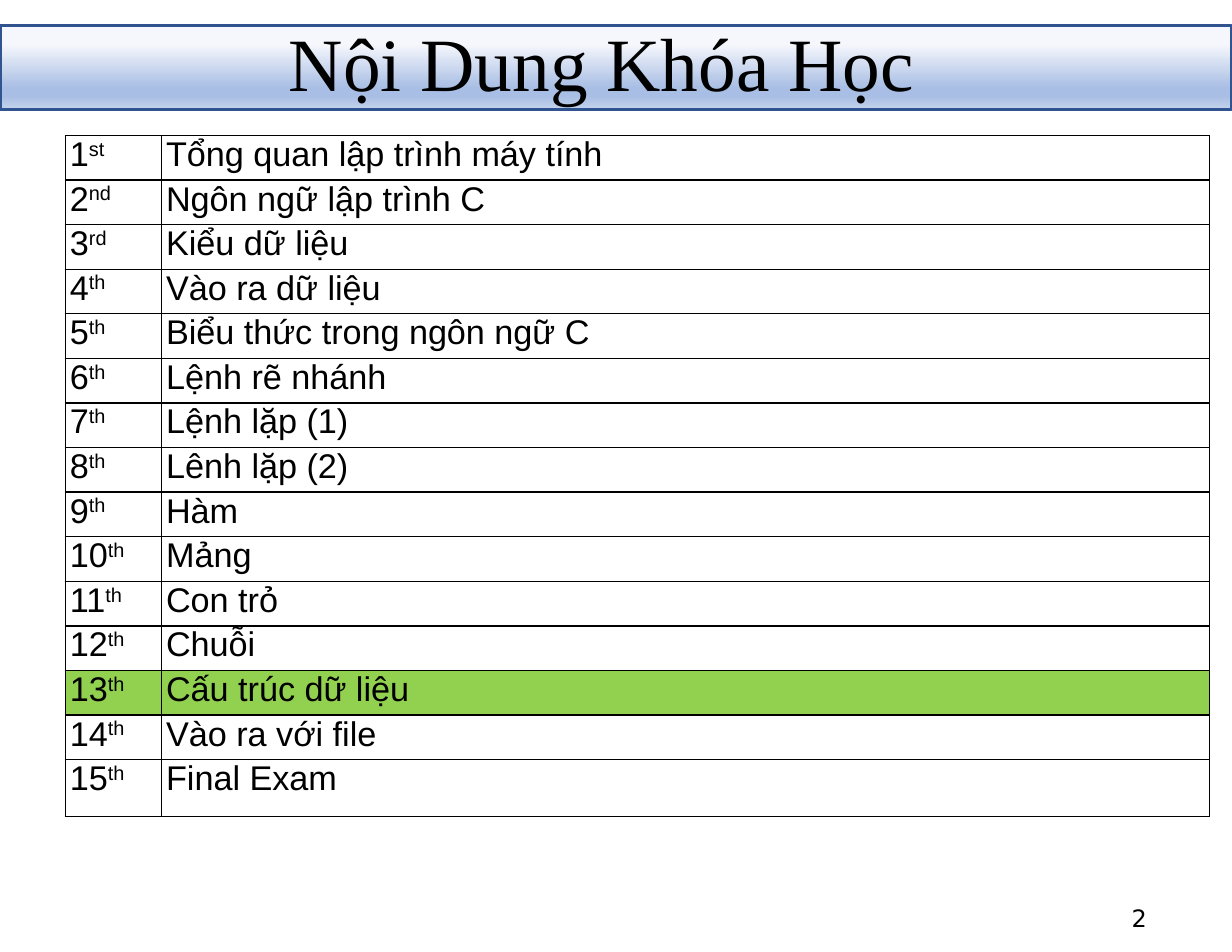
from dataclasses import dataclass

from lxml import etree
from pptx import Presentation
from pptx.dml.color import RGBColor
from pptx.enum.shapes import MSO_SHAPE
from pptx.enum.text import MSO_ANCHOR, PP_ALIGN
from pptx.oxml.ns import qn
from pptx.util import Pt

RECT = MSO_SHAPE.RECTANGLE
MIDDLE = MSO_ANCHOR.MIDDLE
LEFT, RIGHT, JUSTIFY = PP_ALIGN.LEFT, PP_ALIGN.RIGHT, PP_ALIGN.JUSTIFY


@dataclass(frozen=True)
class Theme:
    text: str = "000000"
    border: str = "000000"
    highlight: str = "92D050"
    banner_line: str = "31538F"
    banner_stops: tuple = ((0, "F5F7FC"), (22, "F5F7FC"), (74, "A9BEE4"),
                           (83, "A9BEE4"), (100, "C5D3ED"))
    title_font: str = "Times New Roman"
    body_font: str = "Arial"
    number_font: str = "DejaVu Sans"
    title_size: float = 48.4
    body_size: float = 22
    number_size: float = 15.4


THEME = Theme()

TOPICS = [
    "Tổng quan lập trình máy tính",
    "Ngôn ngữ lập trình C",
    "Kiểu dữ liệu",
    "Vào ra dữ liệu",
    "Biểu thức trong ngôn ngữ C",
    "Lệnh rẽ nhánh",
    "Lệnh lặp (1)",
    "Lênh lặp (2)",
    "Hàm",
    "Mảng",
    "Con trỏ",
    "Chuỗi",
    "Cấu trúc dữ liệu",
    "Vào ra với file",
    "Final Exam",
]
CURRENT_WEEK = 13
SUFFIXES = {1: "st", 2: "nd", 3: "rd"}
ROW_HEIGHT, LAST_ROW_HEIGHT = 28.67, 36.6
COLUMN_WIDTHS = (61.8, 673.9)


def set_attrs(obj, values):
    for name, value in values.items():
        setattr(obj, name, value)


def add_run(p, text, font, size, superscript=False):
    r = p.add_run()
    r.text = text
    set_attrs(r.font, {"name": font, "size": Pt(size)})
    r.font.color.rgb = RGBColor.from_string(THEME.text)
    if superscript:
        r.font._element.set("baseline", "30000")


def add_text(s, box, text, font, size, **paragraph_format):
    tf = s.shapes.add_textbox(*map(Pt, box)).text_frame
    set_attrs(tf, {"word_wrap": True, "vertical_anchor": MIDDLE,
                   "margin_left": 0, "margin_right": 0,
                   "margin_top": 0, "margin_bottom": 0})
    p = tf.paragraphs[0]
    set_attrs(p, paragraph_format)
    add_run(p, text, font, size)


def add_banner(s, box):
    sp = s.shapes.add_shape(RECT, *map(Pt, box))
    sp.shadow.inherit = False
    sp.line.color.rgb = RGBColor.from_string(THEME.banner_line)
    sp.line.width = Pt(2)
    # Vertical gradient with the theme's own stops
    sp.fill.gradient()
    sp.fill.gradient_angle = 270
    stops = sp._element.spPr.find(".//" + qn("a:gsLst"))
    for stop in list(stops):
        stops.remove(stop)
    for position, color in THEME.banner_stops:
        stop = etree.SubElement(stops, qn("a:gs"), pos=str(position * 1000))
        etree.SubElement(stop, qn("a:srgbClr"), val=color)


def add_borders(cell):
    tcPr = cell._tc.get_or_add_tcPr()
    for i, side in enumerate(("a:lnL", "a:lnR", "a:lnT", "a:lnB")):
        ln = etree.Element(qn(side), w=str(Pt(1)))
        fill = etree.SubElement(ln, qn("a:solidFill"))
        etree.SubElement(fill, qn("a:srgbClr"), val=THEME.border)
        tcPr.insert(i, ln)


def format_cell(cell, highlighted):
    set_attrs(cell, {"margin_left": Pt(3), "margin_right": Pt(3),
                     "margin_top": 0, "margin_bottom": 0})
    if highlighted:
        cell.fill.solid()
        cell.fill.fore_color.rgb = RGBColor.from_string(THEME.highlight)
    else:
        cell.fill.background()
    add_borders(cell)
    p = cell.text_frame.paragraphs[0]
    p.alignment = JUSTIFY
    return p


def add_schedule(s, left, top):
    height = ROW_HEIGHT * (len(TOPICS) - 1) + LAST_ROW_HEIGHT
    box = (left, top, sum(COLUMN_WIDTHS), height)
    table = s.shapes.add_table(len(TOPICS), 2, *map(Pt, box)).table
    set_attrs(table, {"first_row": False, "horz_banding": False})
    for column, width in zip(table.columns, COLUMN_WIDTHS):
        column.width = Pt(width)
    for week, topic in enumerate(TOPICS, 1):
        row = table.rows[week - 1]
        row.height = Pt(LAST_ROW_HEIGHT if week == len(TOPICS) else ROW_HEIGHT)
        number, name = [format_cell(c, week == CURRENT_WEEK) for c in row.cells]
        add_run(number, str(week), THEME.body_font, THEME.body_size)
        add_run(number, SUFFIXES.get(week, "th"), THEME.body_font,
                THEME.body_size, superscript=True)
        add_run(name, topic, THEME.body_font, THEME.body_size)


def main():
    prs = Presentation()
    set_attrs(prs, {"slide_width": Pt(792), "slide_height": Pt(612)})
    s = prs.slides.add_slide(prs.slide_layouts[6])

    # Title banner
    add_banner(s, (0, 16.6, 792, 54))
    add_text(s, (185.8, -23, 643.7, 131.8), "Nội Dung Khóa Học",
             THEME.title_font, THEME.title_size,
             alignment=LEFT, line_spacing=0.9)

    # Course schedule
    add_schedule(s, 42, 87.1)

    # Page number
    add_text(s, (640.8, 573.8, 96.5, 32.4), "2",
             THEME.number_font, THEME.number_size, alignment=RIGHT)

    prs.save("out.pptx")


if __name__ == "__main__":
    main()
